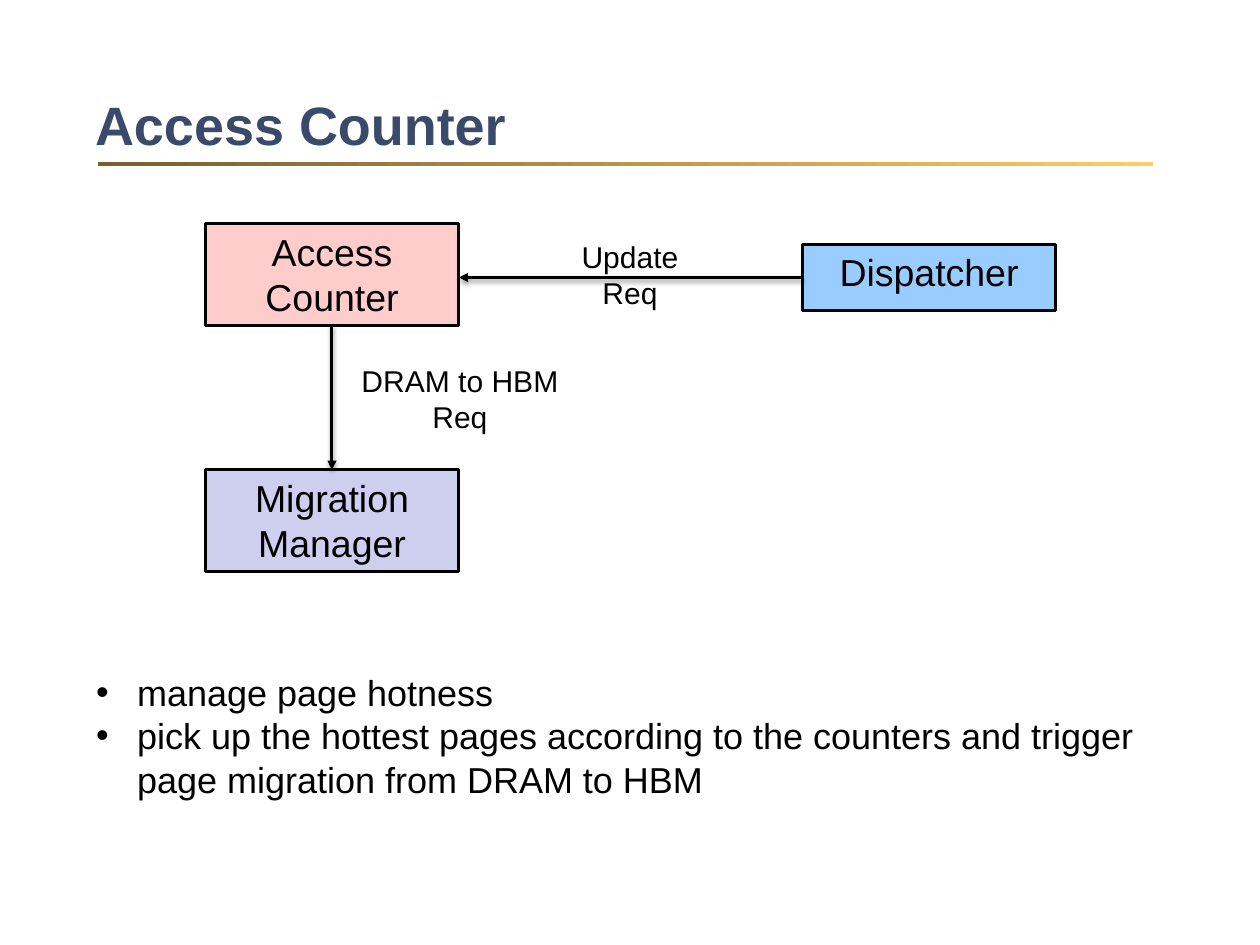
import dataclasses
import typing

import lxml.etree
import pptx
import pptx.dml.color
import pptx.enum.dml
import pptx.enum.shapes
import pptx.enum.text
import pptx.oxml.ns
import pptx.slide
import pptx.text.text
import pptx.util

Inches = pptx.util.Inches
Pt = pptx.util.Pt
Align = pptx.enum.text.PP_ALIGN
Anchor = pptx.enum.text.MSO_ANCHOR
Fit = pptx.enum.text.MSO_AUTO_SIZE
Kind = pptx.enum.shapes.MSO_SHAPE
Link = pptx.enum.shapes.MSO_CONNECTOR


@dataclasses.dataclass(frozen=True)
class Theme:
    font: str = "Arial"
    ink: str = "000000"
    navy: str = "3A4A6A"
    brown: str = "765E2F"
    gold: str = "FFCC66"
    pink: str = "FFCCCC"
    lilac: str = "CECEEF"
    blue: str = "99CCFF"
    title: float = 36
    box: float = 25
    list: float = 24
    label: float = 20
    line: float = 2


@dataclasses.dataclass(frozen=True)
class Area:
    left: float
    top: float
    width: float
    height: float

    def place(self) -> tuple:
        return tuple(map(Inches, dataclasses.astuple(self)))


@dataclasses.dataclass(frozen=True)
class Box:
    text: str
    area: Area
    fill: str


@dataclasses.dataclass(frozen=True)
class Arrow:
    start: tuple[float, float]
    end: tuple[float, float]


@dataclasses.dataclass(frozen=True)
class Label:
    text: str
    area: Area


THEME = Theme()
WIDE, TALL = 2.35, 0.94
LEFT, RIGHT = 1.9, 7.43
TOP, LOW = 2.07, 4.35
MID, LEVEL = LEFT + WIDE / 2, 2.57

BOXES = [
    Box("Dispatcher", Area(RIGHT, 2.26, WIDE, 0.62), THEME.blue),
    Box("Migration\nManager", Area(LEFT, LOW, WIDE, TALL), THEME.lilac),
    Box("Access Counter", Area(LEFT, TOP, WIDE, TALL), THEME.pink),
]
ARROWS = [
    Arrow((RIGHT, LEVEL), (LEFT + WIDE, LEVEL)),
    Arrow((MID, TOP + TALL), (MID, LOW)),
]
LABELS = [
    Label("Update\nReq", Area(5.28, 2.16, 1.11, 0.77)),
    Label("DRAM to HBM\nReq", Area(3.24, 3.31, 2.04, 0.77)),
]
POINTS = [
    "manage page hotness",
    "pick up the hottest pages according to the counters and trigger "
    "page migration from DRAM to HBM",
]


def tint(code: str) -> pptx.dml.color.RGBColor:
    return pptx.dml.color.RGBColor.from_string(code)


def apply(thing: typing.Any, format: dict[str, typing.Any]) -> None:
    for name, value in format.items():
        setattr(thing, name, value)


def add_node(base: typing.Any, tag: str, **facts: str) -> typing.Any:
    return lxml.etree.SubElement(base, pptx.oxml.ns.qn(tag), facts)


def write(frame: pptx.text.text.TextFrame, text: str, size: float, align: Align,
          anchor: Anchor = Anchor.TOP, ink: str = THEME.ink,
          bold: bool = False, wrap: bool = True) -> None:
    frame.text = text
    apply(frame, {"word_wrap": wrap, "auto_size": Fit.NONE, "vertical_anchor": anchor})
    for line in frame.paragraphs:
        apply(line, {"alignment": align, "space_before": Pt(0)})
        for run in line.runs:
            apply(run.font, {"name": THEME.font, "size": Pt(size), "bold": bold})
            run.font.color.rgb = tint(ink)


def move(shape: typing.Any, area: Area) -> None:
    apply(shape, dict(zip(("left", "top", "width", "height"), area.place())))


def draw_rule(slide: pptx.slide.Slide) -> None:
    rule = slide.shapes.add_shape(Kind.RECTANGLE, *Area(0.91, 1.5, 9.77, 0.04).place())
    rule.shadow.inherit = False
    rule.line.fill.background()
    rule.fill.gradient()
    rule.fill.gradient_angle = 0
    for stop, code in zip(rule.fill.gradient_stops, (THEME.brown, THEME.gold)):
        stop.color.rgb = tint(code)


def draw_title(slide: pptx.slide.Slide) -> None:
    title = slide.shapes.title
    move(title, Area(0.78, 0.6, 10.29, 1.1))
    write(title.text_frame, "Access Counter", THEME.title, Align.LEFT,
          Anchor.MIDDLE, THEME.navy, True)


def draw_list(slide: pptx.slide.Slide) -> None:
    body = slide.placeholders[1]
    move(body, Area(0.79, 6.16, 10.28, 1.31))
    write(body.text_frame, "\n".join(POINTS), THEME.list, Align.LEFT)
    dent = Inches(0.38)
    for line in body.text_frame.paragraphs:
        props = line._p.get_or_add_pPr()
        props.set("marL", str(dent))
        props.set("indent", str(-dent))
        add_node(props, "a:buFont", typeface=THEME.font)
        add_node(props, "a:buChar", char="•")


def draw_box(slide: pptx.slide.Slide, box: Box) -> None:
    shape = slide.shapes.add_shape(Kind.RECTANGLE, *box.area.place())
    shape.shadow.inherit = False
    shape.fill.solid()
    shape.fill.fore_color.rgb = tint(box.fill)
    shape.line.color.rgb = tint(THEME.ink)
    shape.line.width = Pt(THEME.line)
    write(shape.text_frame, box.text, THEME.box, Align.CENTER)


def draw_arrow(slide: pptx.slide.Slide, arrow: Arrow) -> None:
    ends = map(Inches, (*arrow.start, *arrow.end))
    shape = slide.shapes.add_connector(Link.STRAIGHT, *ends)
    shape.line.color.rgb = tint(THEME.ink)
    shape.line.width = Pt(THEME.line)
    props = shape.element.spPr
    add_node(props.find(pptx.oxml.ns.qn("a:ln")), "a:tailEnd", type="triangle")
    glow = add_node(add_node(props, "a:effectLst"), "a:outerShdw",
                    blurRad=str(Pt(3.1)), dist=str(Pt(1.6)), dir="5400000",
                    rotWithShape="0")
    shade = add_node(glow, "a:srgbClr", val=THEME.ink)
    add_node(shade, "a:alpha", val="38000")


def draw_label(slide: pptx.slide.Slide, label: Label) -> None:
    shape = slide.shapes.add_textbox(*label.area.place())
    write(shape.text_frame, label.text, THEME.label, Align.CENTER, wrap=False)


def main() -> None:
    deck = pptx.Presentation()
    apply(deck, {"slide_width": Inches(11.67), "slide_height": Inches(8.75)})
    slide = deck.slides.add_slide(deck.slide_layouts[1])
    for draw in (draw_rule, draw_title, draw_list):
        draw(slide)
    for draw, items in ((draw_box, BOXES), (draw_arrow, ARROWS), (draw_label, LABELS)):
        for item in items:
            draw(slide, item)
    deck.save("out.pptx")


if __name__ == "__main__":
    main()
